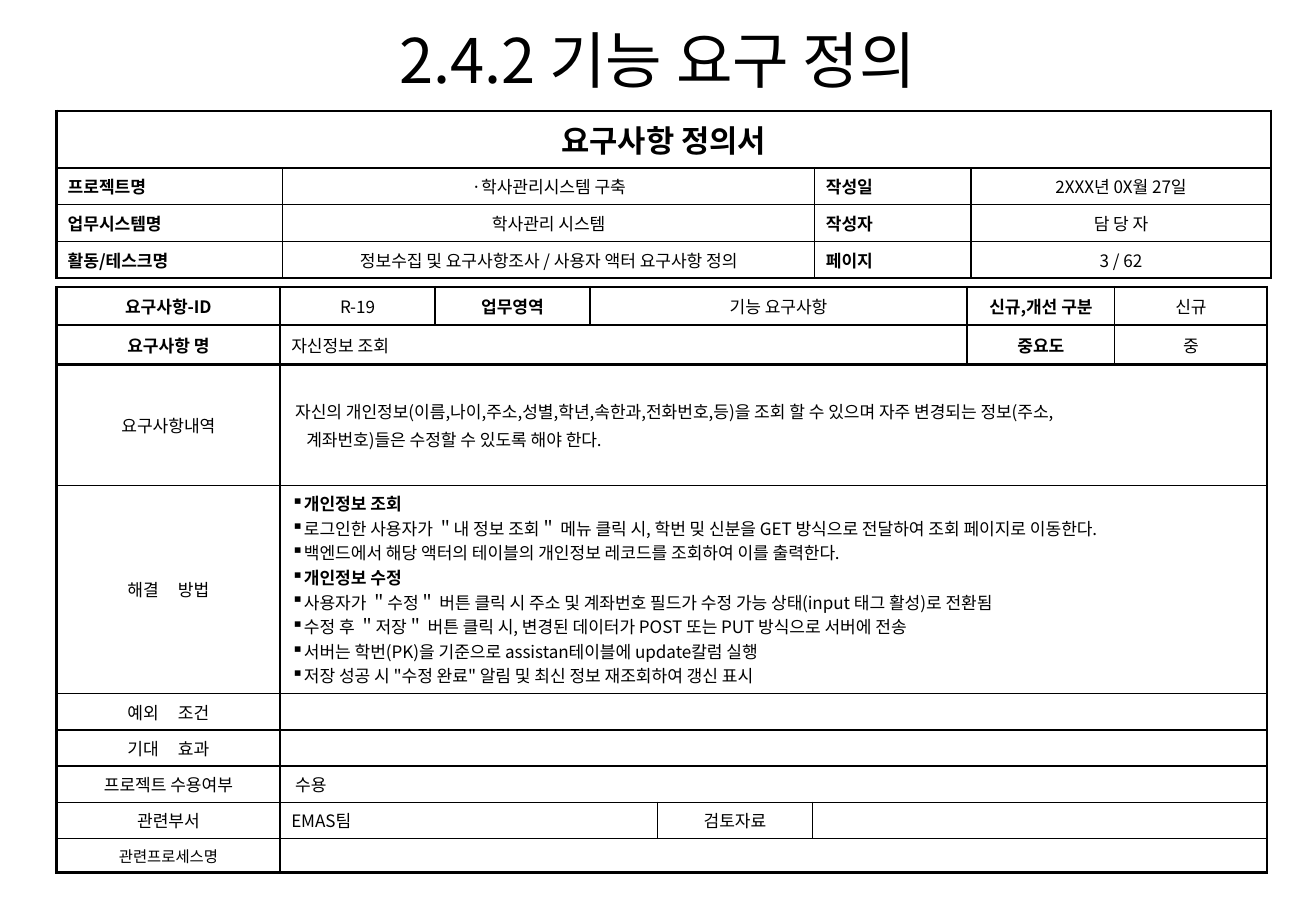
"""Build the functional requirement definition slide with its two form tables."""
import dataclasses
import pptx
import pptx.dml.color
import pptx.enum.text
import pptx.oxml.ns
import pptx.util
from lxml import etree

Cm, Pt = pptx.util.Cm, pptx.util.Pt
qn = pptx.oxml.ns.qn
ALIGN = pptx.enum.text.PP_ALIGN
ANCHOR = pptx.enum.text.MSO_ANCHOR
FONT = "Noto Sans CJK KR"
COLORS = {"ink": "000000"}
THIN, THICK = 1, 1.5


@dataclasses.dataclass
class Line:
    text: str
    size: float = 10
    bold: bool = False
    align: object = ALIGN.CENTER
    left: float = 0
    before: float = 0
    bullet: bool = False
    gap: float = 0


def value(text, span=1, **style):
    return span, [Line(text, **style)]


def label(text, **style):
    return value(text, bold=True, **style)


def field(text, span):
    return value(text, span, align=ALIGN.LEFT)


def blank(span):
    return span, []


def point(text, bold=False):
    return Line(text, bold=bold, align=ALIGN.LEFT, bullet=True)


def add_run(para, text, size, bold=False):
    run = para.add_run()
    run.text = text
    font = run.font
    font.size, font.bold, font.name = Pt(size), bold, FONT
    font.color.rgb = pptx.dml.color.RGBColor.from_string(COLORS["ink"])
    etree.SubElement(font._element, qn("a:ea"), typeface=FONT)
    return run


def add_line(para, line):
    props = para._p.get_or_add_pPr()
    props.set("marL", str(Cm(line.left)))
    props.set("indent", "0")
    if line.bullet:
        etree.SubElement(props, qn("a:buChar"), char="▪")
    para.alignment = line.align
    para.space_before = Pt(line.before)
    if not line.gap:
        add_run(para, line.text, line.size, line.bold)
        return
    first, last = line.text.split()
    add_run(para, first, line.size, line.bold)
    space = add_run(para, " ", line.size)
    space.font._element.set("spc", str(int(line.gap * 100)))
    add_run(para, last, line.size, line.bold)


def fill_cell(cell, lines):
    cell.margin_left = cell.margin_right = Cm(0.23)
    cell.margin_top = cell.margin_bottom = Cm(0.11)
    cell.vertical_anchor = ANCHOR.MIDDLE
    frame = cell.text_frame
    for index, line in enumerate(lines):
        add_line(frame.add_paragraph() if index else frame.paragraphs[0], line)
    if not lines:
        etree.SubElement(frame.paragraphs[0]._p, qn("a:endParaRPr"), sz="1000")


def draw_edges(cell, edges):
    props = cell._tc.get_or_add_tcPr()
    for side in "LRTB":
        if side in edges:
            edge = etree.SubElement(props, qn("a:ln" + side), w=str(Pt(edges[side])))
            paint = etree.SubElement(edge, qn("a:solidFill"))
            etree.SubElement(paint, qn("a:srgbClr"), val=COLORS["ink"])
    cell.fill.background()


def add_form(slide, left, top, widths, heights, rows, heavy=()):
    shape = slide.shapes.add_table(len(heights), len(widths), Cm(left), Cm(top),
                                   Cm(sum(widths)), Cm(sum(heights)))
    table = shape.table
    table.first_row = table.horz_banding = False
    for column, width in zip(table.columns, widths):
        column.width = Cm(width)
    for row, height in zip(table.rows, heights):
        row.height = Cm(height)
    strong = {0, len(heights), *heavy}
    for r, cells in enumerate(rows):
        start = 0
        for span, lines in cells:
            end = start + span
            if span > 1:
                table.cell(r, start).merge(table.cell(r, end - 1))
            for c in range(start, end):
                cell = table.cell(r, c)
                edges = {"T": THICK if r in strong else THIN,
                         "B": THICK if r + 1 in strong else THIN}
                if c == start:
                    edges["L"] = THIN if start else THICK
                    edges["R"] = THICK if end == len(widths) else THIN
                elif c == end - 1:
                    edges["R"] = THICK if end == len(widths) else THIN
                draw_edges(cell, edges)
                fill_cell(cell, lines if c == start else [])
            start = end


def add_title(slide, text):
    title = slide.shapes.title
    title.left, title.top, title.width, title.height = Cm(4.55), Cm(0.18), Cm(18.08), Cm(3.66)
    title.text_frame.vertical_anchor = ANCHOR.TOP
    title.text_frame.word_wrap = True
    para = title.text_frame.paragraphs[0]
    para.alignment = ALIGN.CENTER
    para.line_spacing = 1.1
    add_run(para, text, 36)


def add_header(slide):
    facts = [
        ("프로젝트명", "·학사관리시스템 구축", "작성일", "2XXX년 0X월 27일"),
        ("업무시스템명", "학사관리 시스템", "작성자", "담 당 자"),
        ("활동/테스크명", "정보수집 및 요구사항조사 / 사용자 액터 요구사항 정의", "페이지", "3 / 62"),
    ]
    rows = [[label("요구사항 정의서", span=4, size=18)]]
    for name, content, key, entry in facts:
        rows.append([label(name, align=ALIGN.LEFT), value(content),
                     label(key, align=ALIGN.LEFT), value(entry)])
    add_form(slide, 1.17, 2.29, [4.67, 11, 3.23, 6.2], [1.18] + [0.76] * 3, rows)


def add_detail(slide):
    needs = [
        Line("자신의 개인정보(이름,나이,주소,성별,학년,속한과,전화번호,등)을 조회 할 수 있으며 자주 변경되는 정보(주소,",
             align=ALIGN.LEFT, left=0.08),
        Line("계좌번호)들은 수정할 수 있도록 해야 한다.", align=ALIGN.LEFT, left=0.31, before=2),
    ]
    steps = [
        point("개인정보 조회", True),
        point("로그인한 사용자가 ＂내 정보 조회＂ 메뉴 클릭 시, 학번 밎 신분을 GET 방식으로 전달하여 조회 페이지로 이동한다."),
        point("백엔드에서 해당 액터의 테이블의 개인정보 레코드를 조회하여 이를 출력한다."),
        point("개인정보 수정", True),
        point("사용자가 ＂수정＂ 버튼 클릭 시 주소 및 계좌번호 필드가 수정 가능 상태(input 태그 활성)로 전환됨"),
        point("수정 후 ＂저장＂ 버튼 클릭 시, 변경된 데이터가 POST 또는 PUT 방식으로 서버에 전송"),
        point("서버는 학번(PK)을 기준으로 assistan테이블에 update칼럼 실행"),
        point('저장 성공 시 "수정 완료" 알림 및 최신 정보 재조회하여 갱신 표시'),
    ]
    rows = [
        [label("요구사항-ID"), value("R-19"), label("업무영역"), value("기능 요구사항", 3),
         label("신규,개선 구분"), value("신규")],
        [label("요구사항 명"), field("자신정보 조회", 5), label("중요도"), value("중")],
        [value("요구사항내역"), (7, needs)],
        [value("해결 방법", gap=9), (7, steps)],
        [value("예외 조건", gap=9), blank(7)],
        [value("기대 효과", gap=9), blank(7)],
        [value("프로젝트 수용여부"), value("수용", 7, align=ALIGN.LEFT, left=0.08)],
        [value("관련부서"), field("EMAS팀", 3), value("검토자료"), blank(3)],
        [value("관련프로세스명", size=9), blank(7)],
    ]
    add_form(slide, 1.17, 5.93, [4.62, 3.2, 3.2, 1.4, 3.2, 3.2, 3.05, 3.15],
             [0.79, 0.81, 2.5, 4.3] + [0.75] * 4 + [0.7], rows, heavy=(1, 2))


def main():
    deck = pptx.Presentation()
    deck.slide_width, deck.slide_height = Cm(27.2), Cm(19.05)
    slide = deck.slides.add_slide(deck.slide_layouts[5])
    add_title(slide, "2.4.2 기능 요구 정의")
    add_header(slide)
    add_detail(slide)
    deck.save("out.pptx")


if __name__ == "__main__":
    main()
